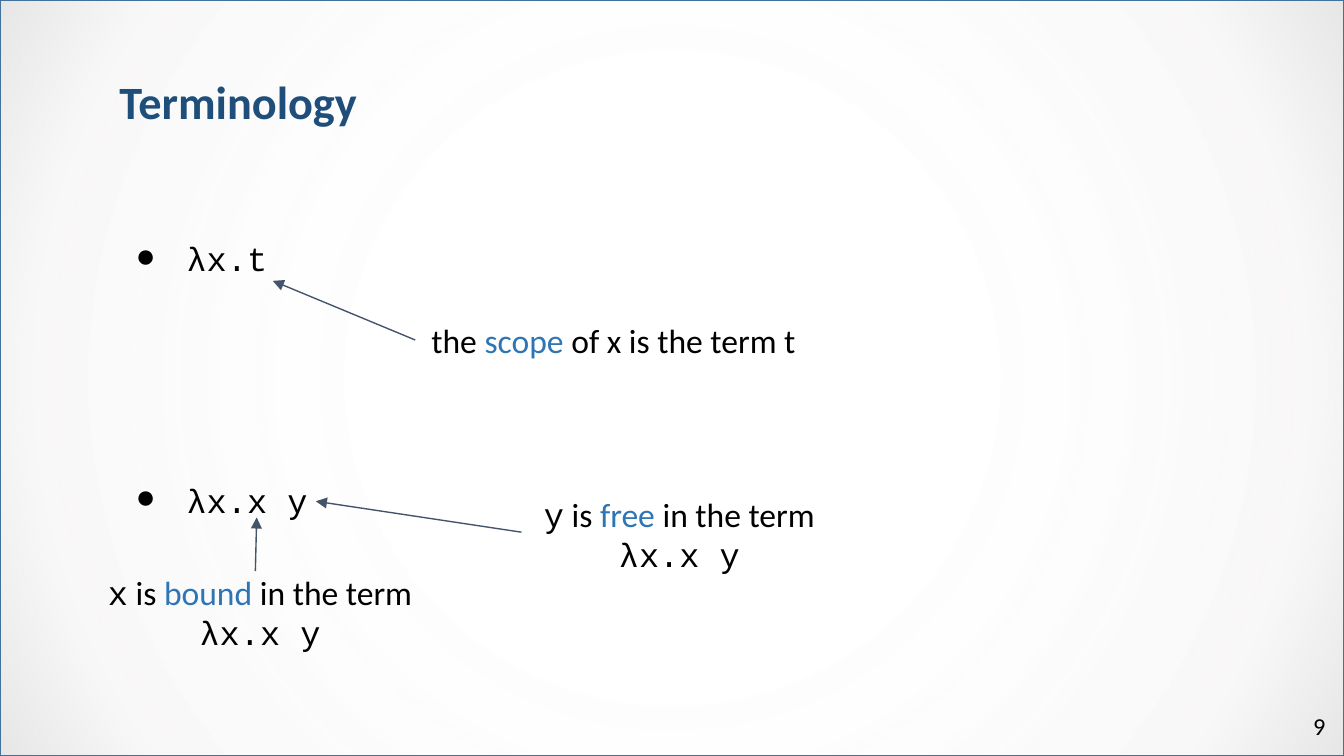
from dataclasses import dataclass

from lxml import etree
from pptx import Presentation
from pptx.dml.color import RGBColor
from pptx.enum.shapes import MSO_CONNECTOR, MSO_SHAPE
from pptx.enum.text import MSO_ANCHOR, PP_ALIGN
from pptx.oxml import parse_xml
from pptx.oxml.ns import nsdecls, qn
from pptx.util import Inches, Pt

RECTANGLE = MSO_SHAPE.RECTANGLE
STRAIGHT = MSO_CONNECTOR.STRAIGHT
TOP, MIDDLE = MSO_ANCHOR.TOP, MSO_ANCHOR.MIDDLE
LEFT, CENTER, RIGHT = PP_ALIGN.LEFT, PP_ALIGN.CENTER, PP_ALIGN.RIGHT


@dataclass(frozen=True)
class Theme:
    sans: str = "Calibri"
    mono: str = "Courier New"
    text: str = "000000"
    heading: str = "1E4E79"
    accent: str = "2E75B5"
    arrow: str = "44546A"
    frame: str = "42719B"
    title_size: float = 24.8
    body_size: float = 18
    number_size: float = 13


theme = Theme()


def add_text(left, top, width, height, anchor):
    """Add an empty wrapping text box and return its frame."""
    frame = page.shapes.add_textbox(
        Inches(left), Inches(top), Inches(width), Inches(height)).text_frame
    frame.word_wrap = True
    frame.vertical_anchor = anchor
    frame.margin_left = frame.margin_right = Inches(0.1)
    frame.margin_top = frame.margin_bottom = Inches(0.1)
    return frame


def add_span(para, text, size, font=theme.sans, color=theme.text, bold=False):
    span = para.add_run()
    span.text = text
    span.font.size = Pt(size)
    span.font.name = font
    span.font.bold = bold
    span.font.color.rgb = RGBColor.from_string(color)


deck = Presentation()
deck.slide_width = Inches(10)
deck.slide_height = Inches(10 * 9 / 16)
page = deck.slides.add_slide(deck.slide_layouts[6])

# Background with a soft radial gradient
backdrop = page.shapes.add_shape(RECTANGLE, 0, 0, deck.slide_width, deck.slide_height)
backdrop.shadow.inherit = False
backdrop.line.color.rgb = RGBColor.from_string(theme.frame)
backdrop.line.width = Pt(1)
# position, colour and opacity, each in percent where numeric
stops = [(0, "F6F9FC", 0), (38, "FFFFFF", 15), (84, "E7E6E6", 30), (100, "E7E6E6", 100)]
stop_xml = "".join(
    f'<a:gs pos="{position * 1000}"><a:srgbClr val="{color}">'
    f'<a:alpha val="{opacity * 1000}"/></a:srgbClr></a:gs>'
    for position, color, opacity in stops)
gradient = parse_xml(
    f'<a:gradFill {nsdecls("a")}><a:gsLst>{stop_xml}</a:gsLst><a:path path="circle">'
    '<a:fillToRect l="50000" t="50000" r="50000" b="50000"/></a:path></a:gradFill>')
backdrop.element.spPr.find(qn("a:prstGeom")).addnext(gradient)

# Title
para = add_text(0.79, 0.49, 8.43, 0.63, TOP).paragraphs[0]
para.alignment = LEFT
para.line_spacing = 0.9
add_span(para, "Terminology", theme.title_size, color=theme.heading, bold=True)

# Bulleted lambda terms
frame = add_text(0.79, 1.16, 8.43, 3.17, MIDDLE)
for index, term in enumerate(["λx.t", "λx.x y"]):
    para = frame.paragraphs[0] if index == 0 else frame.add_paragraph()
    para.line_spacing = 1.5
    if index:
        para.space_before = Pt(97)
    properties = para._p.get_or_add_pPr()
    properties.set("marL", str(Inches(0.5)))
    properties.set("indent", str(Inches(-0.38)))
    bullet_color = etree.SubElement(properties, qn("a:buClr"))
    etree.SubElement(bullet_color, qn("a:srgbClr"), val=theme.text)
    etree.SubElement(properties, qn("a:buSzPts"), val=str(theme.body_size * 100))
    etree.SubElement(properties, qn("a:buFont"), typeface=theme.mono)
    etree.SubElement(properties, qn("a:buChar"), char="●")
    add_span(para, term, theme.body_size, theme.mono)

# Slide number
para = add_text(9.36, 5.19, 0.6, 0.43, TOP).paragraphs[0]
para.alignment = RIGHT
add_span(para, "9", theme.number_size)

# Explanations: box, spans of text with font and colour
plain = (theme.sans, theme.text)
key = (theme.sans, theme.accent)
code = (theme.mono, theme.text)
notes = [
    ((3.09, 2.26, 2.95, 0.54),
     [("the ", plain), ("scope", key), (" of x is the term t", plain)]),
]
for place, variable, role in [((0.46, 4.39, 2.95, 0.33), "x", "bound"),
                              ((3.88, 3.81, 2.35, 0.33), "y", "free")]:
    notes.append((place, [(variable, code), (" is ", plain), (role, key),
                          (" in the term ", plain), ("λx.x y", code)]))
for place, spans in notes:
    para = add_text(*place, MIDDLE).paragraphs[0]
    para.alignment = CENTER
    for text, (font, color) in spans:
        add_span(para, text, theme.body_size, font, color)

# Arrows from the explanations to the terms
for start_x, start_y, end_x, end_y in [(3.09, 2.53, 2.03, 2.09),
                                       (1.9, 4.25, 1.91, 3.85),
                                       (3.88, 3.96, 2.35, 3.73)]:
    arrow = page.shapes.add_connector(
        STRAIGHT, Inches(start_x), Inches(start_y), Inches(end_x), Inches(end_y))
    arrow.line.color.rgb = RGBColor.from_string(theme.arrow)
    arrow.line.width = Pt(0.75)
    etree.SubElement(arrow.line._get_or_add_ln(), qn("a:tailEnd"), type="triangle")
    etree.SubElement(arrow.element.spPr, qn("a:effectLst"))

deck.save("out.pptx")
